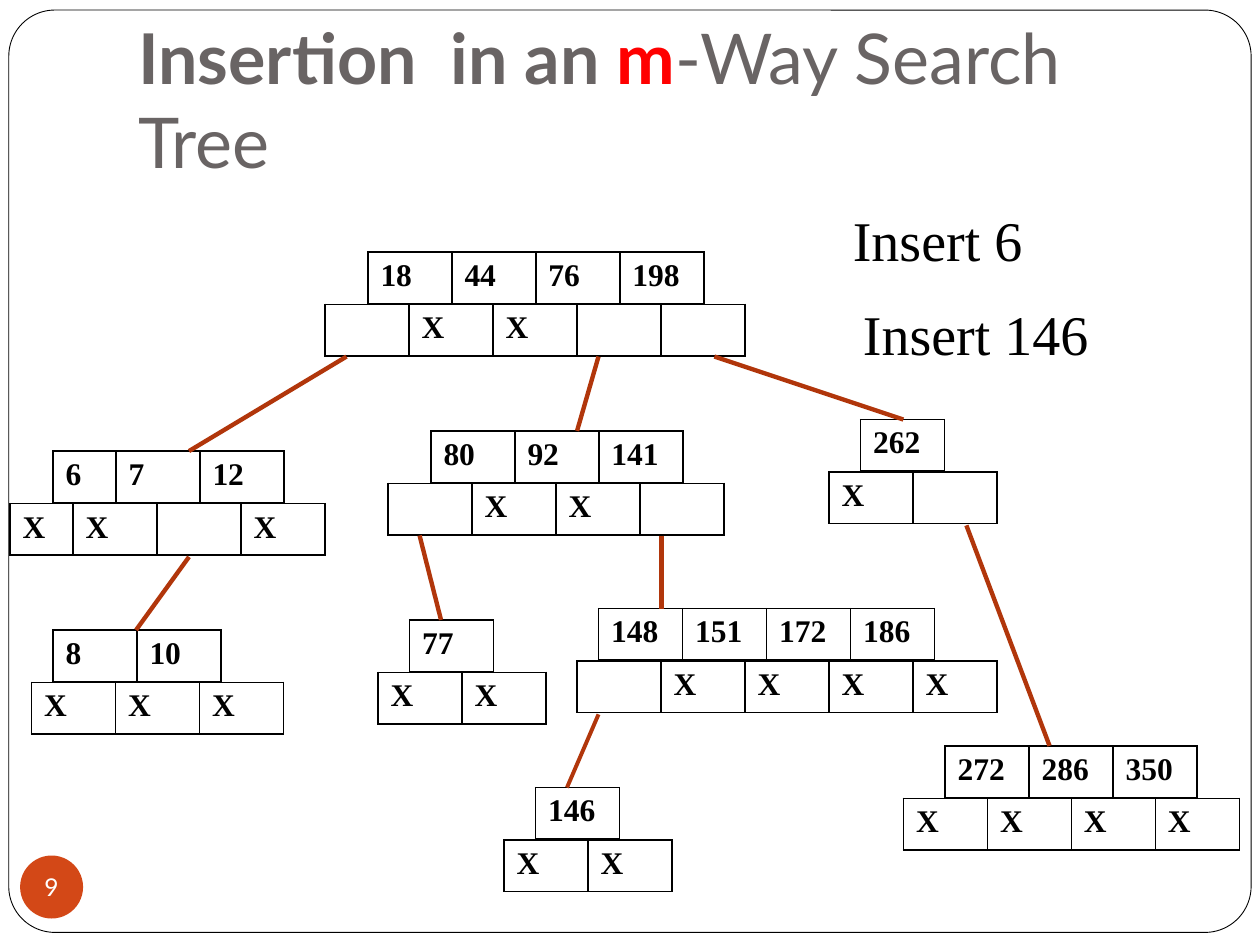
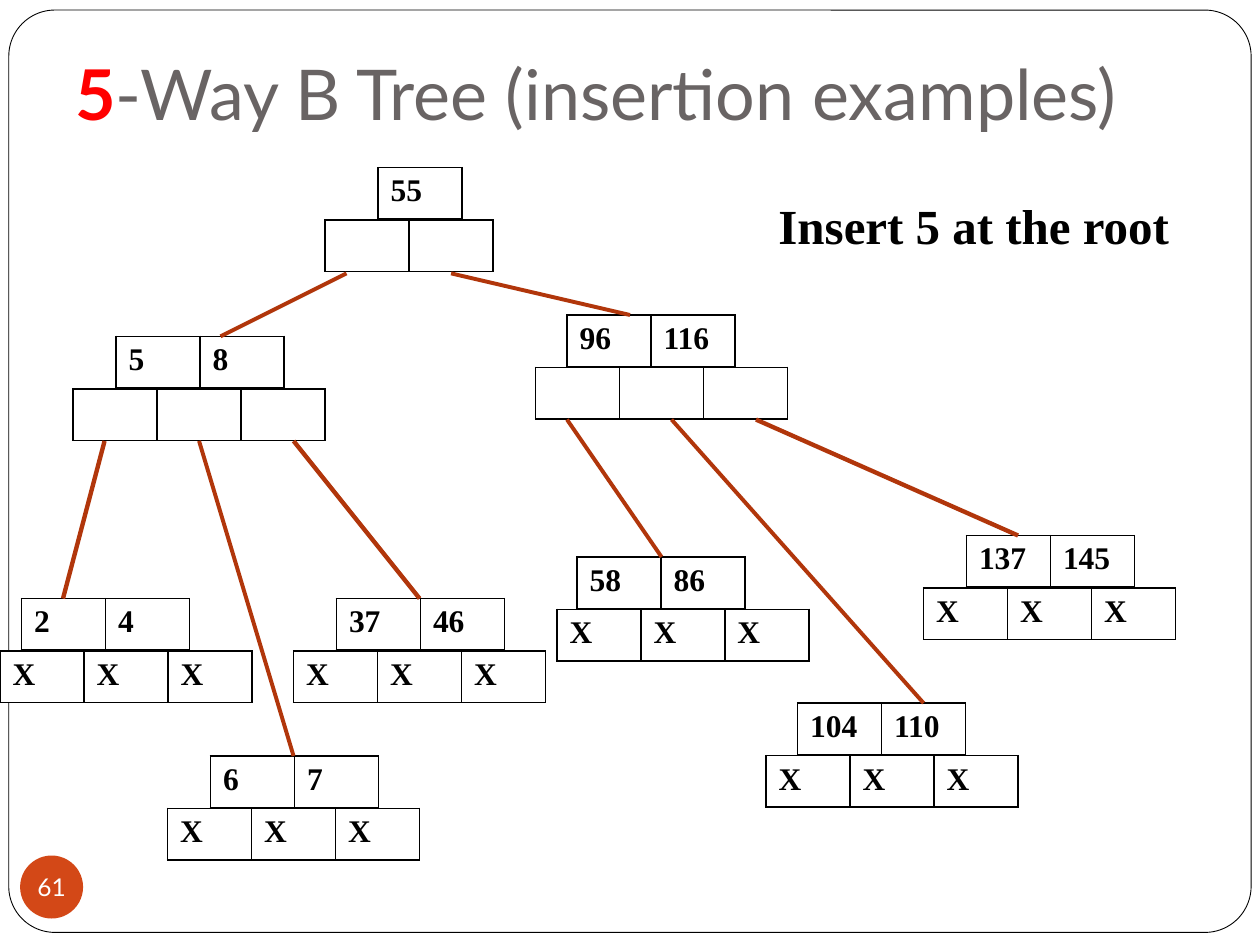
from lxml import etree
from pptx import Presentation
from pptx.dml.color import RGBColor
from pptx.enum.shapes import MSO_CONNECTOR, MSO_SHAPE
from pptx.enum.text import MSO_ANCHOR as Anchor, PP_ALIGN as Align
from pptx.oxml.ns import qn
from pptx.util import Inches, Pt

WHITE, BLACK, GREY, RED = "FFFFFF", "000000", "696464", "FF0000"
BADGE, LINK = "D34817", "B1360B"
SANS, SERIF = "Lato", "Times New Roman"
CELL_WIDTH, ROW_HEIGHT, POINTER_DROP = 2 / 3, 0.41, 5 / 12


def color(value):
    return RGBColor.from_string(value)


def add_run(para, text, size, font, tint, bold=False):
    span = para.add_run()
    span.text = text
    span.font.size = Pt(size)
    span.font.name = font
    span.font.bold = bold
    span.font.color.rgb = color(tint)


def add_text_box(page, area):
    box = page.shapes.add_textbox(*map(Inches, area))
    box.text_frame.word_wrap = True
    return box.text_frame


# Shared page parts
def add_frame(page):
    frame = page.shapes.add_shape(
        MSO_SHAPE.ROUNDED_RECTANGLE, *map(Inches, (0.07, 0.08, 9.86, 7.32)))
    frame.adjustments[0] = 0.05
    frame.shadow.inherit = False
    frame.fill.solid()
    frame.fill.fore_color.rgb = color(WHITE)
    frame.line.color.rgb = color(BLACK)
    frame.line.width = Pt(0.5)


def add_title(page, area, parts):
    text = add_text_box(page, area)
    text.vertical_anchor = Anchor.BOTTOM
    text.margin_bottom = Inches(0.1)
    for words, tint, bold in parts:
        add_run(text.paragraphs[0], words, 40, SANS, tint, bold)


def add_page_number(page, number):
    badge = page.shapes.add_shape(
        MSO_SHAPE.OVAL, *map(Inches, (0.16, 6.79, 0.5, 0.5)))
    badge.shadow.inherit = False
    badge.fill.solid()
    badge.fill.fore_color.rgb = color(BADGE)
    badge.line.fill.background()
    text = badge.text_frame
    text.word_wrap = False
    text.vertical_anchor = Anchor.MIDDLE
    text.margin_left = text.margin_right = text.margin_top = text.margin_bottom = 0
    text.paragraphs[0].alignment = Align.CENTER
    add_run(text.paragraphs[0], str(number), 14, SANS, WHITE)


def add_caption(page, area, words, size, bold=False):
    text = add_text_box(page, area)
    add_run(text.paragraphs[0], words, size, SERIF, BLACK, bold)


# Tree parts
def add_borders(cell):
    props = cell._tc.get_or_add_tcPr()
    for side in ("lnL", "lnR", "lnT", "lnB"):
        line = etree.SubElement(props, qn(f"a:{side}"), w=str(Pt(1)))
        fill = etree.SubElement(line, qn("a:solidFill"))
        etree.SubElement(fill, qn("a:srgbClr"), val=BLACK)


def add_row(page, left, top, values, width):
    table = page.shapes.add_table(
        1, len(values), Inches(left), Inches(top),
        Inches(width * len(values)), Inches(ROW_HEIGHT)).table
    table.first_row = table.horz_banding = False
    for column, value in enumerate(values):
        table.columns[column].width = Inches(width)
        cell = table.cell(0, column)
        add_borders(cell)
        cell.fill.solid()
        cell.fill.fore_color.rgb = color(WHITE)
        if value:
            add_run(cell.text_frame.paragraphs[0], value, 18, SERIF, BLACK, True)


def add_node(page, left, top, keys, pointer_left, pointers, width=CELL_WIDTH):
    """Row of keys above its row of child pointers; X is a null, - a child."""
    add_row(page, left, top, keys.split(), width)
    add_row(page, pointer_left, top + POINTER_DROP,
            [mark.replace("-", "") for mark in pointers], width)


def add_link(page, x1, y1, x2, y2, weight=2.5):
    link = page.shapes.add_connector(
        MSO_CONNECTOR.STRAIGHT, *map(Inches, (x1, y1, x2, y2)))
    link.line.color.rgb = color(LINK)
    link.line.width = Pt(weight)
    etree.SubElement(link._element.spPr, qn("a:effectLst"))


def add_tree_page(deck, number, title_area, title, nodes, links, captions):
    page = deck.slides.add_slide(deck.slide_layouts[6])
    add_frame(page)
    add_title(page, title_area, title)
    for node in nodes:
        add_node(page, *node)
    for link in links:
        add_link(page, *link)
    for caption in captions:
        add_caption(page, *caption)
    add_page_number(page, number)


# Nodes: key left, top, keys, pointer left, pointers, optional cell width
SEARCH_NODES = [
    (2.92, 2, "18 44 76 198", 2.58, "-XX--"),
    (0.42, 3.58, "6", 0.08, "X", 0.5),
    (0.92, 3.58, "7 12", 0.58, "X-X"),
    (3.42, 3.42, "80 92 141", 3.08, "-XX-"),
    (6.83, 3.33, "262", 6.58, "X-"),
    (0.42, 5, "8 10", 0.25, "XXX"),
    (3.25, 4.92, "77", 3, "XX"),
    (4.75, 4.83, "148 151 172 186", 4.58, "-XXXX"),
    (7.5, 5.92, "272 286 350", 7.17, "XXXX"),
    (4.25, 6.25, "146", 4, "XX"),
]
# Links: start x, y, end x, y, optional weight
SEARCH_LINKS = [
    (2.75, 2.83, 1.5, 3.58), (4.75, 2.83, 4.58, 3.42),
    (5.67, 2.83, 7.17, 3.33), (1.5, 4.42, 1.08, 5),
    (3.33, 4.25, 3.5, 4.92), (5.25, 4.25, 5.25, 4.83),
    (7.67, 4.17, 8.33, 5.92), (4.75, 5.67, 4.5, 6.25, 2.25),
]
B_TREE_NODES = [
    (3, 1.33, "55", 2.58, "--"),
    (0.92, 2.67, "5 8", 0.58, "---"),
    (4.5, 2.5, "96 116", 4.25, "---"),
    (0.17, 4.75, "2 4", 0, "XXX"),
    (1.67, 6, "6 7", 1.33, "XXX"),
    (2.67, 4.75, "37 46", 2.33, "XXX"),
    (4.58, 4.42, "58 86", 4.42, "XXX"),
    (6.33, 5.58, "104 110", 6.08, "XXX"),
    (7.67, 4.25, "137 145", 7.33, "XXX"),
]
B_TREE_LINKS = [
    (2.75, 2.17, 1.75, 2.67, 2.25), (3.58, 2.17, 5, 2.5, 2.25),
    (0.83, 3.5, 0.5, 4.75), (1.58, 3.5, 2.33, 6, 2.25),
    (2.33, 3.5, 3.33, 4.75), (4.5, 3.33, 5.25, 4.42, 2.25),
    (5.33, 3.33, 7.33, 5.58, 2.25), (6, 3.33, 8.08, 4.25),
]


def main():
    deck = Presentation()
    deck.slide_width, deck.slide_height = Inches(10), Inches(7.5)
    add_tree_page(
        deck, 9, (1, 0.3, 8.5, 1.25),
        [("Insertion  in an ", GREY, True), ("m", RED, True),
         ("-Way Search Tree", GREY, False)],
        SEARCH_NODES, SEARCH_LINKS,
        [((6.67, 1.58, 2.75, 0.64), "Insert 6", 32),
         ((6.75, 2.33, 2.75, 0.64), "Insert 146", 32)])
    add_tree_page(
        deck, 61, (0.5, 0.3, 9, 0.87),
        [("5", RED, True), ("-Way B Tree (insertion examples)", GREY, False)],
        B_TREE_NODES, B_TREE_LINKS,
        [((6.08, 1.5, 3.5, 1.04), "Insert 5 at the root", 28, True)])
    deck.save("out.pptx")


if __name__ == "__main__":
    main()
